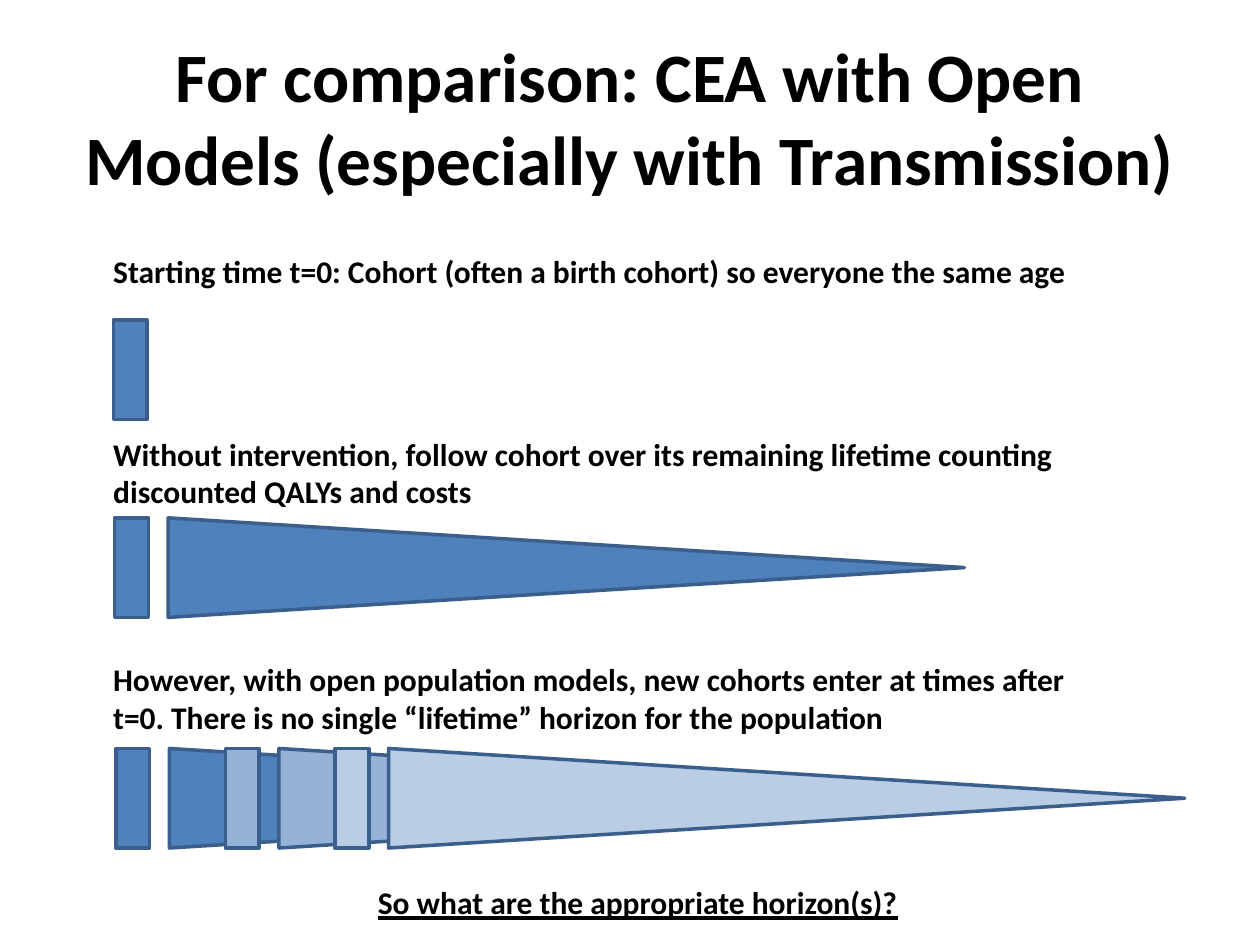
from dataclasses import dataclass
from pptx import Presentation
from pptx.dml.color import RGBColor
from pptx.enum.shapes import MSO_SHAPE
from pptx.enum.text import MSO_ANCHOR, PP_ALIGN
from pptx.util import Pt

RECT, WEDGE = MSO_SHAPE.RECTANGLE, MSO_SHAPE.ISOSCELES_TRIANGLE
TOP, MIDDLE = MSO_ANCHOR.TOP, MSO_ANCHOR.MIDDLE
LEFT, CENTER = PP_ALIGN.LEFT, PP_ALIGN.CENTER


@dataclass(frozen=True)
class Theme:
    font: str = "Calibri"
    title: float = 39.6
    body: float = 18
    ink: str = "000000"
    edge: str = "3A5F8C"
    tints: tuple = ("4F81BD", "95B3D7", "B9CDE5")


THEME = Theme()
BAR_W, BAR_H = 19.4, 56.9    # cohort at entry
LIFE_W, LIFE_X = 455, 30.6   # cohort over its lifetime, offset from its bar
STEP = 62.6                  # gap between entering cohorts


def add_text(slide, box, text, size=THEME.body, align=LEFT, anchor=TOP,
             wrap=True, under=False):
    frame = slide.shapes.add_textbox(*map(Pt, box)).text_frame
    frame.word_wrap = wrap
    frame.vertical_anchor = anchor
    para = frame.paragraphs[0]
    para.text = text
    para.alignment = align
    font = para.font
    font.name, font.size, font.bold = THEME.font, Pt(size), True
    font.color.rgb = RGBColor.from_string(THEME.ink)
    if under:
        font.underline = True


def add_solid(slide, kind, box, fill):
    shape = slide.shapes.add_shape(kind, *map(Pt, box))
    shape.shadow.inherit = False
    shape.fill.solid()
    shape.fill.fore_color.rgb = RGBColor.from_string(fill)
    shape.line.color.rgb = RGBColor.from_string(THEME.edge)
    shape.line.width = Pt(2)
    return shape


def add_bar(slide, x, y, fill):
    add_solid(slide, RECT, (x, y, BAR_W, BAR_H), fill)


def add_cohort(slide, x, y, fill):
    """Entry bar followed by a wedge that shrinks to the right."""
    add_bar(slide, x, y, fill)
    # The wedge is turned about its centre, so its sides are swapped
    shift = (LIFE_W - BAR_H) / 2
    box = (x + LIFE_X + shift, y - shift, BAR_H, LIFE_W)
    add_solid(slide, WEDGE, box, fill).rotation = 90


def main():
    deck = Presentation()
    deck.slide_width, deck.slide_height = Pt(720), Pt(540)
    slide = deck.slides.add_slide(deck.slide_layouts[6])

    # Title
    add_text(slide, (36, 21.6, 648, 90),
             "For comparison: CEA with Open Models (especially with Transmission)",
             THEME.title, CENTER, MIDDLE)

    # Start: one cohort
    add_text(slide, (57.6, 140.4, 564.5, 29),
             "Starting time t=0: Cohort (often a birth cohort) so everyone the same age",
             wrap=False)
    add_bar(slide, 64.8, 182.9, THEME.tints[0])

    # Closed model: one cohort over its lifetime
    add_text(slide, (57.6, 244.8, 630, 51),
             "Without intervention, follow cohort over its remaining lifetime "
             "counting discounted QALYs and costs")
    add_cohort(slide, 65.5, 295.9, THEME.tints[0])

    # Open model: new cohorts keep entering
    add_text(slide, (57.6, 373.7, 564.5, 51),
             "However, with open population models, new cohorts enter at times "
             "after t=0. There is no single “lifetime” horizon for the population")
    for i, tint in enumerate(THEME.tints):
        add_cohort(slide, 66.2 + i * STEP, 427.7, tint)

    # Closing question
    add_text(slide, (208.8, 501.1, 314, 29),
             "So what are the appropriate horizon(s)?", wrap=False, under=True)

    deck.save("out.pptx")


if __name__ == "__main__":
    main()
